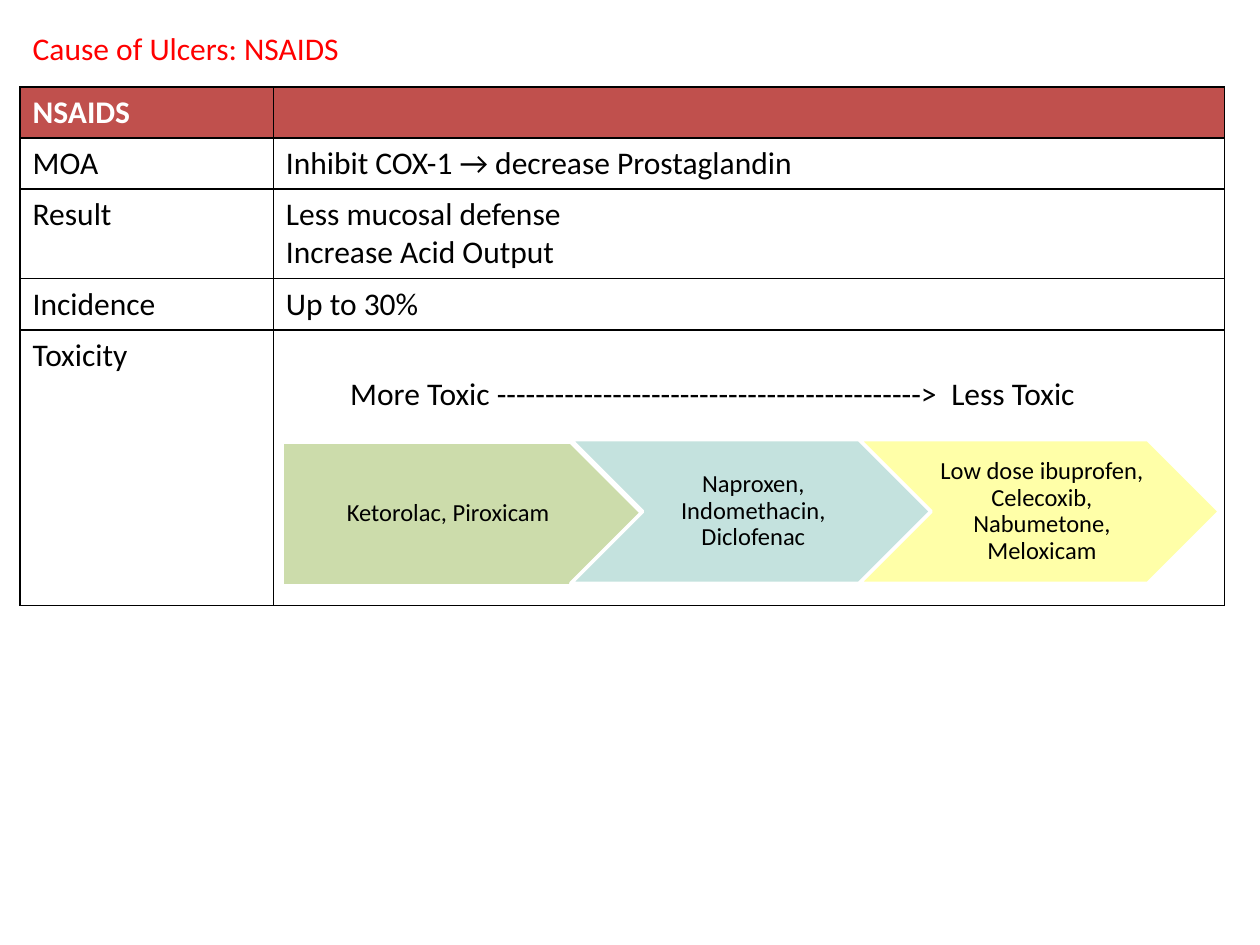
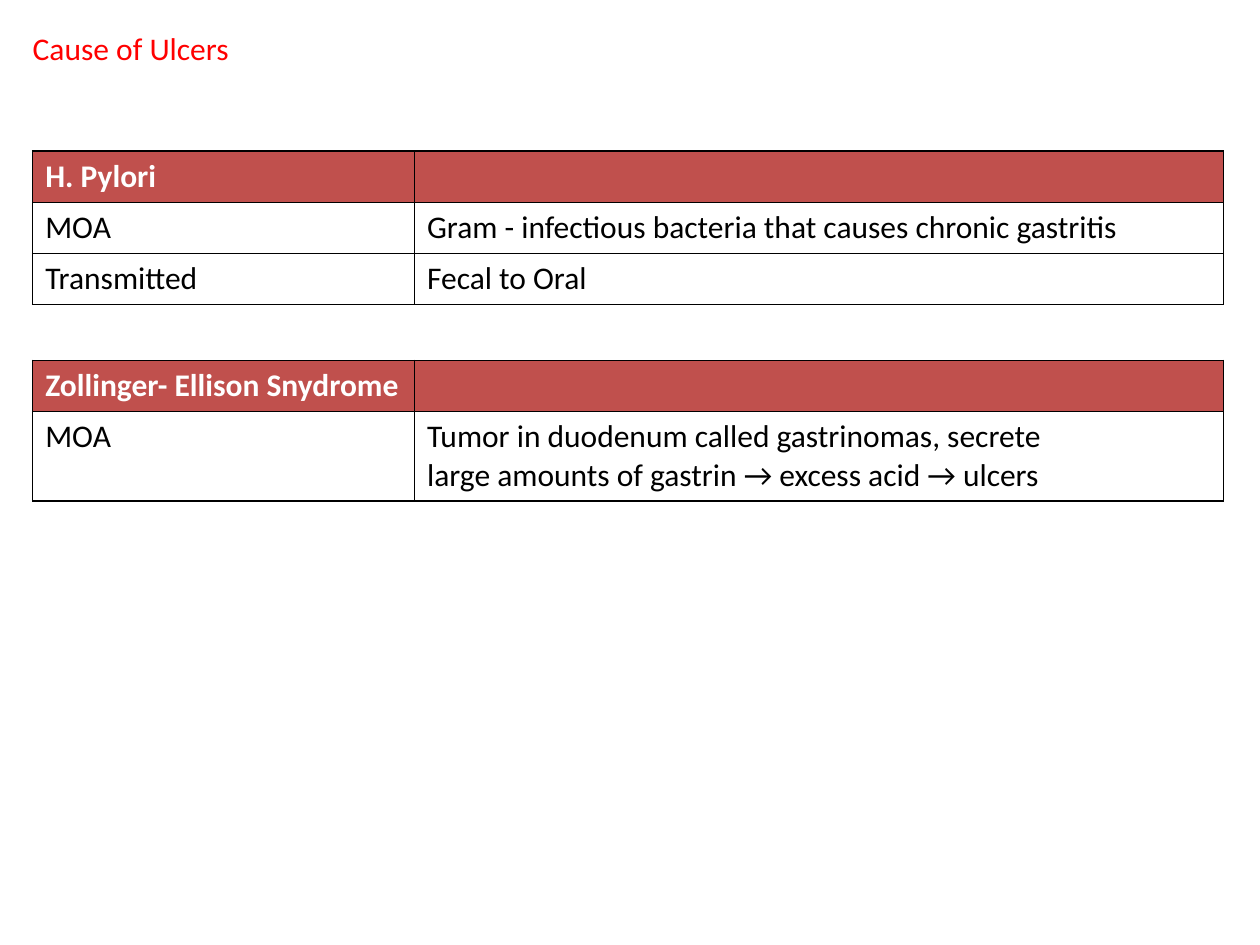
import pptx
import pptx.util
import pptx.dml.color
import pptx.enum.shapes
import pptx.enum.text
import pptx.oxml
import pptx.oxml.ns
from lxml import etree

Inches = pptx.util.Inches
Pt = pptx.util.Pt
RGBColor = pptx.dml.color.RGBColor
MSO_SHAPE = pptx.enum.shapes.MSO_SHAPE
PP_ALIGN = pptx.enum.text.PP_ALIGN
MSO_ANCHOR = pptx.enum.text.MSO_ANCHOR
qn = pptx.oxml.ns.qn

RED = RGBColor(0xFF, 0x00, 0x00)
BRICK = RGBColor(0xC0, 0x50, 0x4D)
BLACK = RGBColor(0x00, 0x00, 0x00)
WHITE = RGBColor(0xFF, 0xFF, 0xFF)
GREEN = RGBColor(0x9B, 0xBB, 0x59)
TEAL = RGBColor(0x5E, 0xAF, 0xA6)
YELLOW = RGBColor(0xFF, 0xFF, 0x00)

LINE_ROW, DOUBLE_ROW = 0.405, 0.71


class Deck:
    """Shared style, and the slide being filled."""
    font = "Calibri"
    body_size = 18
    step_size = 14

    def __init__(self):
        self.presentation = pptx.Presentation()
        self.presentation.slide_width = Inches(10)
        self.presentation.slide_height = Inches(7.5)
        self.slide = None

    def style(self, frame, size, color, bold=False):
        for paragraph in frame.paragraphs:
            for run in paragraph.runs:
                run.font.name = self.font
                run.font.size = Pt(size)
                run.font.bold = bold
                run.font.color.rgb = color

    def add_slide(self, heading, heading_width):
        self.slide = self.presentation.slides.add_slide(self.presentation.slide_layouts[5])
        title = self.slide.shapes.title
        title.left, title.top = Inches(0.16), Inches(0.18)
        title.width, title.height = Inches(heading_width), Inches(0.4)
        frame = title.text_frame
        frame.text = heading
        frame.word_wrap = False
        frame.auto_size = pptx.enum.text.MSO_AUTO_SIZE.NONE
        frame.vertical_anchor = MSO_ANCHOR.TOP
        frame.paragraphs[0].alignment = PP_ALIGN.LEFT
        self.style(frame, self.body_size, RED)

    def border(self, cell):
        properties = cell._tc.get_or_add_tcPr()
        for side in ("a:lnL", "a:lnR", "a:lnT", "a:lnB"):
            line = etree.SubElement(properties, qn(side), w=str(Pt(1)))
            fill = etree.SubElement(line, qn("a:solidFill"))
            etree.SubElement(fill, qn("a:srgbClr"), val=str(BLACK))

    def table(self, left, top, widths, heights, rows):
        """Two-column fact table whose first row is the header."""
        table = self.slide.shapes.add_table(
            len(rows), len(widths), Inches(left), Inches(top),
            Inches(sum(widths)), Inches(sum(heights))).table
        table.horz_banding = False
        for column, width in zip(table.columns, widths):
            column.width = Inches(width)
        for index, (row, height) in enumerate(zip(rows, heights)):
            header = index == 0
            table.rows[index].height = Inches(height)
            for cell, words in zip(table.rows[index].cells, row):
                self.border(cell)
                cell.fill.solid()
                cell.fill.fore_color.rgb = BRICK if header else WHITE
                cell.text_frame.text = words
                self.style(cell.text_frame, self.body_size,
                           WHITE if header else BLACK, header)
        return table

    def tab_stop(self, paragraph, position):
        stops = etree.SubElement(paragraph._p.get_or_add_pPr(), qn("a:tabLst"))
        etree.SubElement(stops, qn("a:tab"), pos=str(Inches(position)), algn="l")

    def step(self, kind, left, top, color, opacity, words, inset):
        """Translucent arrow step with centred text."""
        step = self.slide.shapes.add_shape(
            kind, Inches(left), Inches(top), Inches(2.86), Inches(1.14))
        step.shadow.inherit = False
        step.fill.solid()
        step.fill.fore_color.rgb = color
        tint = step.fill._xPr.find(qn("a:solidFill"))[0]
        etree.SubElement(tint, qn("a:alpha"), val=str(opacity * 1000))
        step.line.color.rgb = WHITE
        step.line.width = Pt(2)
        frame = step.text_frame
        frame.word_wrap = True
        frame.vertical_anchor = MSO_ANCHOR.MIDDLE
        frame.margin_left, frame.margin_right = Inches(inset), Inches(0.02)
        frame.margin_top = frame.margin_bottom = Inches(0.04)
        frame.text = words
        frame.paragraphs[0].alignment = PP_ALIGN.CENTER
        frame.paragraphs[0].line_spacing = 0.9
        self.style(frame, self.step_size, BLACK)


def nsaids_slide(deck):
    deck.add_slide("Cause of Ulcers: NSAIDS", 2.66)
    facts = deck.table(
        0.16, 0.69, (2.01, 7.55),
        (LINE_ROW, LINE_ROW, DOUBLE_ROW, LINE_ROW, 2.19),
        (("NSAIDS", ""),
         ("MOA", "Inhibit COX-1 → decrease Prostaglandin"),
         ("Result", "Less mucosal defense\nIncrease Acid Output"),
         ("Incidence", "Up to 30%"),
         ("Toxicity", "More Toxic " + "-" * 44 + ">\tLess Toxic")))

    # Toxicity scale, set in from the cell's corner
    scale = facts.cell(4, 1)
    scale.margin_left, scale.margin_top = Inches(0.61), Inches(0.36)
    deck.tab_stop(scale.text_frame.paragraphs[0], 4.77)

    # Drugs from more to less toxic
    first_left, pitch = 2.24, 2.29
    drugs = (
        (MSO_SHAPE.PENTAGON, 3.51, GREEN, 50, "Ketorolac, Piroxicam", 0.08),
        (MSO_SHAPE.CHEVRON, 3.49, TEAL, 36, "Naproxen, Indomethacin, Diclofenac", 0.06),
        (MSO_SHAPE.CHEVRON, 3.49, YELLOW, 34,
         "Low dose ibuprofen, Celecoxib, Nabumetone, Meloxicam", 0.06))
    for index, (kind, top, color, opacity, words, inset) in enumerate(drugs):
        deck.step(kind, first_left + index * pitch, top, color, opacity, words, inset)


def other_causes_slide(deck):
    deck.add_slide("Cause of Ulcers", 1.85)
    left, widths = 0.26, (3.03, 6.42)
    deck.table(
        left, 1.2, widths, (LINE_ROW,) * 3,
        (("H. Pylori", ""),
         ("MOA", "Gram - infectious bacteria that causes chronic gastritis"),
         ("Transmitted", "Fecal to Oral")))
    deck.table(
        left, 2.86, widths, (LINE_ROW, DOUBLE_ROW),
        (("Zollinger- Ellison Snydrome", ""),
         ("MOA", "Tumor in duodenum called gastrinomas, secrete\n"
                 "large amounts of gastrin → excess acid → ulcers")))


def main():
    deck = Deck()
    nsaids_slide(deck)
    other_causes_slide(deck)
    deck.presentation.save("out.pptx")


if __name__ == "__main__":
    main()
